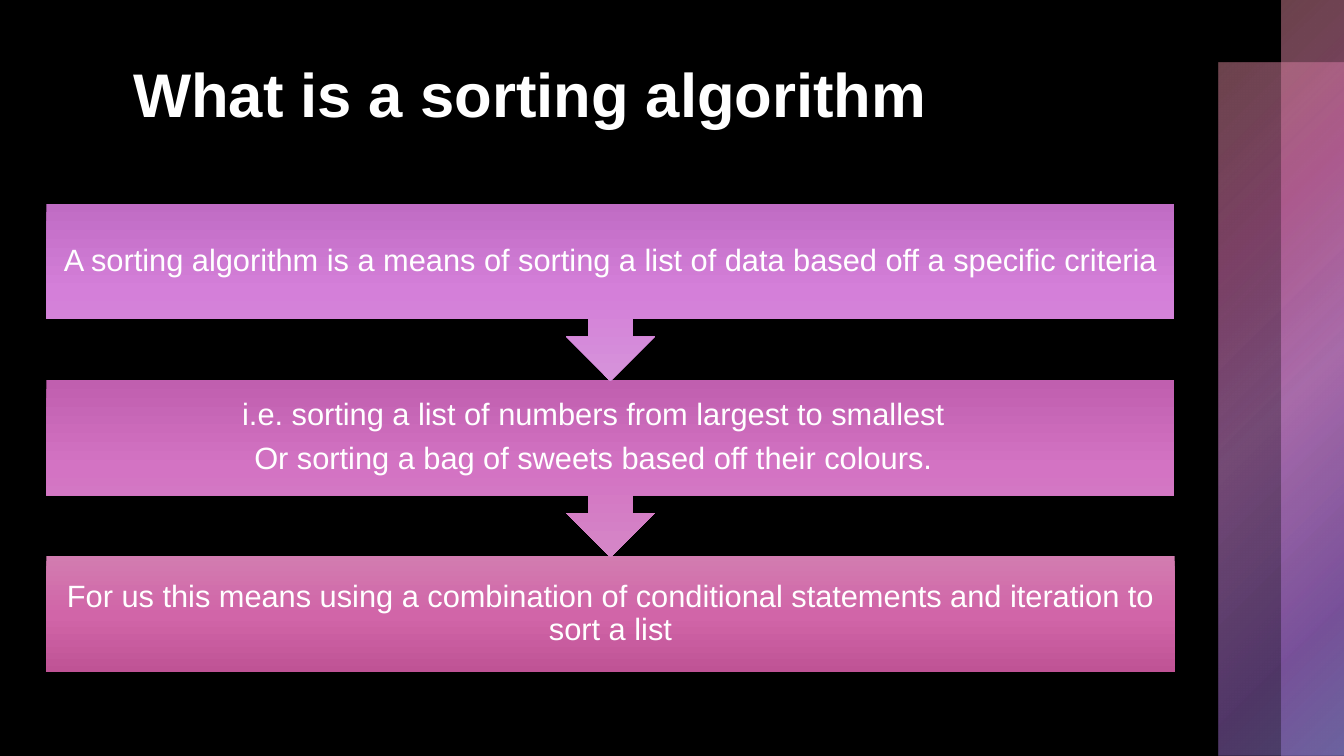
from dataclasses import dataclass

from pptx import Presentation
from pptx.dml.color import RGBColor
from pptx.enum.shapes import MSO_SHAPE as Preset
from pptx.enum.text import MSO_ANCHOR as Anchor, MSO_AUTO_SIZE as AutoSize, PP_ALIGN as Align
from pptx.oxml import parse_xml
from pptx.oxml.ns import nsdecls
from pptx.util import Inches, Pt


@dataclass(frozen=True)
class Theme:
    font: str = "Arial"
    title_size: Pt = Pt(44)
    body_size: Pt = Pt(22)
    text: RGBColor = RGBColor(0xFF, 0xFF, 0xFF)
    background: RGBColor = RGBColor(0x00, 0x00, 0x00)
    # Gradient stops: position %, colour, opacity %
    bars: tuple = ((0, "D68797", 50), (25, "CD6CA8", 60), (50, "D387D6", 55),
                   (81, "A16CCD", 50), (100, "9187D6", 50))
    violet: tuple = ((0, "C06CC4", 100), (50, "D47FD9", 100), (100, "D693DA", 100))
    magenta: tuple = ((0, "C05FAF", 100), (50, "D373C3", 100), (100, "D587C7", 100))
    pink: tuple = ((0, "D27CB0", 100), (50, "D165A8", 100), (100, "BF5395", 100))


theme = Theme()
DOWNWARD = '<a:lin ang="5400000" scaled="0"/>'
FROM_TOP_LEFT = '<a:path path="circle"><a:fillToRect r="100000" b="100000"/></a:path>'


def add_gradient_shape(preset, left, top, width, height, stops, direction):
    shape = slide.shapes.add_shape(preset, Inches(left), Inches(top), Inches(width), Inches(height))
    shape.shadow.inherit = False
    shape.line.fill.background()
    shape.fill.background()
    stop_xml = "".join(
        f'<a:gs pos="{position * 1000}"><a:srgbClr val="{colour}">'
        f'<a:alpha val="{opacity * 1000}"/></a:srgbClr></a:gs>'
        for position, colour, opacity in stops)
    gradient = parse_xml(f'<a:gradFill {nsdecls("a")} rotWithShape="1">'
                         f'<a:gsLst>{stop_xml}</a:gsLst>{direction}</a:gradFill>')
    properties = shape._element.spPr
    properties.replace(properties.find("{*}noFill"), gradient)
    return shape


def style_paragraph(paragraph, size, alignment):
    paragraph.alignment = alignment
    paragraph.font.name = theme.font
    paragraph.font.size = size
    paragraph.font.color.rgb = theme.text


presentation = Presentation()
presentation.slide_width = Inches(13.33)
presentation.slide_height = Inches(7.5)
slide = presentation.slides.add_slide(presentation.slide_layouts[5])
slide.background.fill.solid()
slide.background.fill.fore_color.rgb = theme.background

# Overlapping translucent bars on the right edge
for left, top, width in ((12.09, 0.62, 1.24), (12.71, 0, 0.62)):
    add_gradient_shape(Preset.RECTANGLE, left, top, width, 7.5 - top, theme.bars, FROM_TOP_LEFT)

# Title
title = slide.shapes.title
title.left, title.top, title.width, title.height = map(Inches, (1.22, 0.5, 10.37, 1.7))
title.text_frame.text = "What is a sorting algorithm"
title.text_frame.vertical_anchor = Anchor.TOP
title.text_frame.auto_size = AutoSize.NONE
title_paragraph = title.text_frame.paragraphs[0]
style_paragraph(title_paragraph, theme.title_size, Align.LEFT)
title_paragraph.font.bold = True

# Steps of the flow, each callout pointing at the next one
steps = (
    (Preset.DOWN_ARROW_CALLOUT, 1.76, theme.violet,
     ("A sorting algorithm is a means of sorting a list of data based off a specific criteria",)),
    (Preset.DOWN_ARROW_CALLOUT, 1.76, theme.magenta,
     ("i.e. sorting a list of numbers from largest to smallest",
      "Or sorting a bag of sweets based off their colours.")),
    (Preset.RECTANGLE, 1.15, theme.pink,
     ("For us this means using a combination of conditional statements and iteration to sort a list",)),
)
# Last step first, so that each arrow tip lies over the next box
for index, (preset, height, stops, lines) in reversed(list(enumerate(steps))):
    step = add_gradient_shape(preset, 0.46, 2.02 + 1.75 * index, 11.19, height, stops, DOWNWARD)
    if preset == Preset.DOWN_ARROW_CALLOUT:
        for number, value in enumerate((0.25, 0.25, 0.25, 0.65)):
            step.adjustments[number] = value
    frame = step.text_frame
    frame.word_wrap = True
    frame.vertical_anchor = Anchor.MIDDLE
    frame.margin_left = frame.margin_right = frame.margin_top = frame.margin_bottom = Inches(0.17)
    frame.text = "\n".join(lines)
    for paragraph in frame.paragraphs:
        style_paragraph(paragraph, theme.body_size, Align.CENTER)
        paragraph.line_spacing = 0.9
    if len(lines) > 1:
        # The example's first line sits slightly left of centre
        frame.paragraphs[0]._p.get_or_add_pPr().set("marR", str(Inches(0.34)))
        frame.paragraphs[1].space_before = Pt(7.7)

presentation.save("out.pptx")
